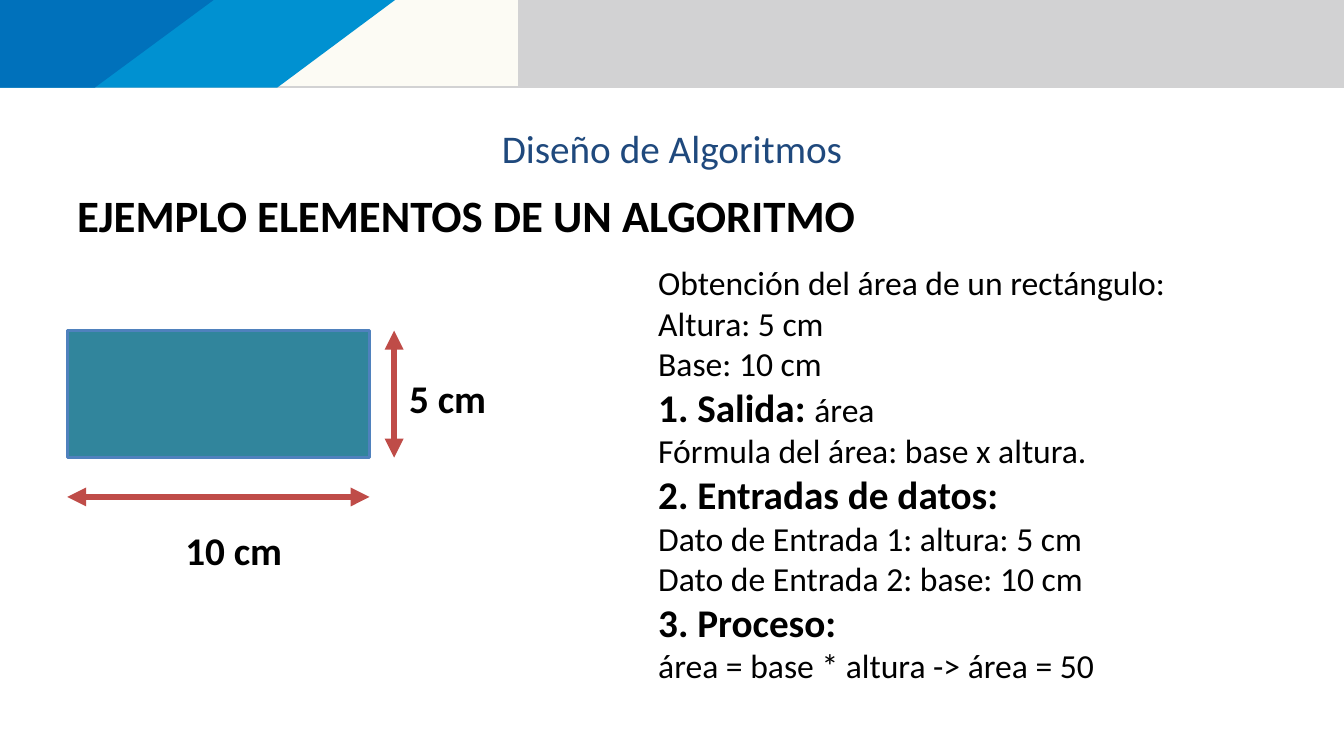
from pptx import Presentation
from pptx.dml.color import RGBColor
from pptx.enum.shapes import MSO_CONNECTOR as CONN, MSO_SHAPE as SHAPE
from pptx.enum.text import MSO_ANCHOR as ANCHOR, MSO_AUTO_SIZE as FIT, PP_ALIGN as ALIGN
from pptx.oxml.xmlchemy import OxmlElement as Element
from pptx.util import Inches, Pt

COLORS = {
    "text": "000000", "title": "1F497D", "gray": "D2D2D3", "cream": "FCFBF4",
    "sky": "0091D1", "blue": "0071BB", "teal": "31859C", "edge": "4F81BD",
    "arrow": "BF4C48",
}
FONT = "Calibri"
WIDTH, HEIGHT = Inches(13.33), Inches(7.5)
COLS, ROWS = 80, 45
BAND = 5.22
LEFT, TOP, BASE, SIDE = 4, 19.68, 18, 7.56

BANDS = [
    ("gray", COLS, COLS, BAND),
    ("cream", 30.84, 30.84, 5.1),
    ("sky", 23.52, 16.5, BAND),
    ("blue", 12.72, 5.64, BAND),
]
STEPS = [
    [("Obtención del área de un rectángulo:", 24, False)],
    [("Altura: 5 cm", 24, False)],
    [("Base: 10 cm", 24, False)],
    [("1. Salida: ", 28, True), ("área", 24, False)],
    [("Fórmula del área: base x altura.", 24, False)],
    [("2. Entradas de datos:", 28, True)],
    [("Dato de Entrada 1: altura: 5 cm", 24, False)],
    [("Dato de Entrada 2: base: 10 cm", 24, False)],
    [("3. Proceso:", 28, True)],
    [("área = base * altura -> área = 50", 24, False)],
]


def rgb(name):
    """Return the named colour."""
    return RGBColor.from_string(COLORS[name])


def x(col):
    """Return the horizontal length of a number of columns."""
    return round(WIDTH * col / COLS)


def y(row):
    """Return the vertical length of a number of rows."""
    return round(HEIGHT * row / ROWS)


def box(col, row, cols, rows):
    """Return left, top, width and height of a grid area."""
    return x(col), y(row), x(cols), y(rows)


def place(sp, area):
    """Move a placeholder to a grid area."""
    sp.left, sp.top, sp.width, sp.height = box(*area)


def add_run(p, text, size, bold=False, color="text"):
    """Append a formatted run to a paragraph."""
    r = p.add_run()
    r.text = text
    r.font.name, r.font.size, r.font.bold = FONT, Pt(size), bold
    r.font.color.rgb = rgb(color)


def add_band(s, color, top_end, bottom_end, depth):
    """Draw a header band with a straight or slanted right end."""
    builder = s.shapes.build_freeform(0, 0)
    builder.add_line_segments(
        [(x(top_end), 0), (x(bottom_end), y(depth)), (0, y(depth))])
    sp = builder.convert_to_shape()
    sp.shadow.inherit = False
    sp.fill.solid()
    sp.fill.fore_color.rgb = rgb(color)
    sp.line.fill.background()


def add_title(s, text):
    """Fill the title placeholder."""
    sp = s.shapes.title
    place(sp, (13, 7.38, 54, 2.82))
    tf = sp.text_frame
    tf.margin_left = tf.margin_right = tf.margin_top = tf.margin_bottom = 0
    tf.vertical_anchor, tf.auto_size = ANCHOR.TOP, FIT.NONE
    p = tf.paragraphs[0]
    p.alignment = ALIGN.CENTER
    add_run(p, text, 28, color="title")


def add_steps(s, steps):
    """Fill the body placeholder with unbulleted lines."""
    sp = s.placeholders[1]
    place(sp, (38.58, 15.3, 35.88, 26.04))
    tf = sp.text_frame
    tf.auto_size = FIT.NONE
    for i, runs in enumerate(steps):
        p = tf.add_paragraph() if i else tf.paragraphs[0]
        p.space_before = Pt(0)
        pr = p._p.get_or_add_pPr()
        pr.set("marL", "0")
        pr.set("indent", "0")
        pr.append(Element("a:buNone"))
        for text, size, bold in runs:
            add_run(p, text, size, bold)


def add_label(s, text, size, area):
    """Add a bold text box."""
    tf = s.shapes.add_textbox(*box(*area)).text_frame
    tf.word_wrap = True
    add_run(tf.paragraphs[0], text, size, True)


def add_rectangle(s):
    """Draw the measured rectangle."""
    sp = s.shapes.add_shape(SHAPE.RECTANGLE, *box(LEFT, TOP, BASE, SIDE))
    sp.shadow.inherit = False
    sp.fill.solid()
    sp.fill.fore_color.rgb = rgb("teal")
    sp.line.color.rgb = rgb("edge")
    sp.line.width = Pt(2)


def add_measure(s, col, row, cols, rows):
    """Draw a double-headed dimension arrow."""
    sp = s.shapes.add_connector(
        CONN.STRAIGHT, x(col), y(row), x(col + cols), y(row + rows))
    sp.line.color.rgb = rgb("arrow")
    sp.line.width = Pt(4.5)
    for tag in ("a:headEnd", "a:tailEnd"):
        end = Element(tag)
        end.set("type", "triangle")
        sp.line._get_or_add_ln().append(end)
    sp._element.spPr.append(Element("a:effectLst"))


def main():
    """Build and save the slide."""
    prs = Presentation()
    prs.slide_width, prs.slide_height = WIDTH, HEIGHT
    s = prs.slides.add_slide(prs.slide_layouts[1])
    for band in BANDS:
        add_band(s, *band)
    add_title(s, "Diseño de Algoritmos")
    add_label(s, "EJEMPLO ELEMENTOS DE UN ALGORITMO", 32, (LEFT, 10.86, 48.24, 3.84))
    add_steps(s, STEPS)
    add_rectangle(s)
    add_measure(s, LEFT, 29.58, BASE, 0)
    add_label(s, "10 cm", 28, (10.44, 31.02, 10.38, 3.42))
    add_measure(s, 23.46, TOP, 0, SIDE)
    add_label(s, "5 cm", 28, (23.76, 21.96, 10.38, 3.42))
    prs.save("out.pptx")


if __name__ == "__main__":
    main()
